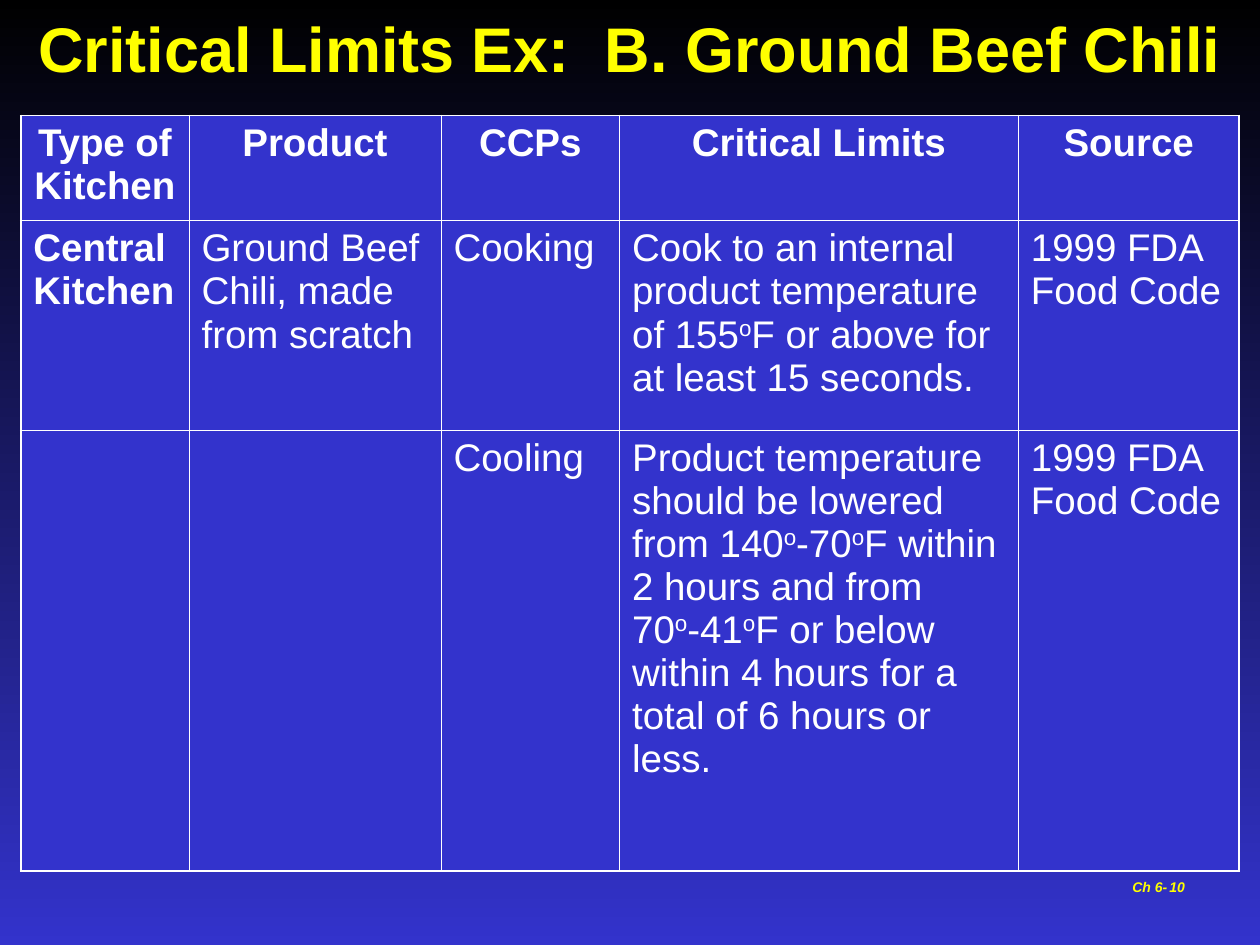
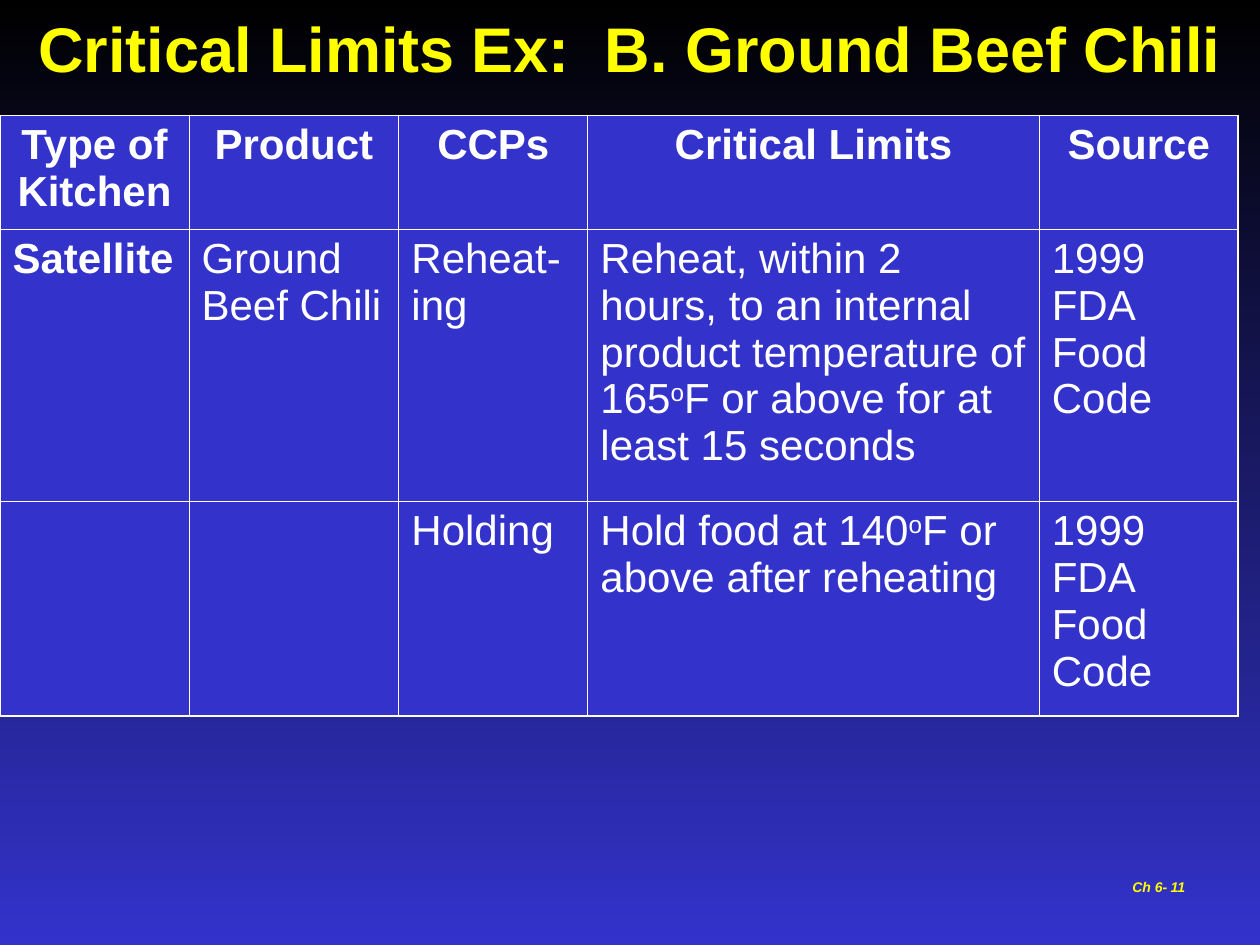
from lxml.etree import SubElement
from pptx import Presentation
from pptx.dml.color import RGBColor as Rgb
from pptx.enum.text import MSO_ANCHOR as Anchor, MSO_AUTO_SIZE as Fit, PP_ALIGN as Align
from pptx.oxml.ns import qn
from pptx.util import Cm, Pt

BLACK, BLUE, WHITE, YELLOW = "000000", "3333CC", "FFFFFF", "FFFF00"
THICK, THIN = 1.08, 0.45
TITLE = "Critical Limits Ex:  B. Ground Beef Chili"
HEADS = ["Type of Kitchen", "Product", "CCPs", "Critical Limits", "Source"]
CODE = "1999 FDA Food Code"
RAISED = "^o"  # stands for a superscript o in the table text

TITLE_FONT = {"name": "Arial", "size": Pt(36), "bold": True}
FOOT_FONT = {"name": "Arial", "size": Pt(8), "bold": True, "italic": True}

SLIDES = [
    {
        "page": "10", "left": 0.42, "size": 22,
        "cols": [3.39, 5.08, 3.6, 8.04, 4.45],
        "rows": [2.12, 4.22, 8.89],
        "body": [
            ["Central Kitchen", "Ground Beef Chili, made from scratch", "Cooking",
             "Cook to an internal product temperature of 155^oF or above "
             "for at least 15 seconds.", CODE],
            ["", "", "Cooling",
             "Product temperature should be lowered from 140^o-70^oF within 2 hours "
             "and from 70^o-41^oF or below within 4 hours for a total of 6 hours "
             "or less.", CODE],
        ],
    },
    {
        "page": "11", "left": 0, "size": 24,
        "cols": [3.81, 4.23, 3.81, 9.1, 4.01],
        "rows": [2.29, 5.49, 4.32],
        "body": [
            ["Satellite", "Ground Beef Chili", "Reheat-ing",
             "Reheat, within 2 hours, to an internal product temperature of 165^oF "
             "or above for at least 15 seconds", CODE],
            ["", "", "Holding", "Hold food at 140^oF or above after reheating", CODE],
        ],
    },
]


def tint(code):
    return Rgb.from_string(code)


def style(font, looks, color):
    for key, value in looks.items():
        setattr(font, key, value)
    font.color.rgb = tint(color)


def place(shape, left, top, width, height):
    spots = {"left": left, "top": top, "width": width, "height": height}
    for key, value in spots.items():
        setattr(shape, key, Cm(value))


def paint_back(master):
    fill = master.background.fill
    fill.gradient()
    fill.gradient_angle = 270
    for stop, color in zip(fill.gradient_stops, (BLACK, BLUE)):
        stop.color.rgb = tint(color)


def add_title(slide):
    title = slide.shapes.title
    place(title, 0, 0, 25.4, 1.9)
    frame = title.text_frame
    frame.text = TITLE
    frame.auto_size = Fit.NONE
    frame.vertical_anchor = Anchor.MIDDLE
    line = frame.paragraphs[0]
    line.alignment = Align.CENTER
    style(line.runs[0].font, TITLE_FONT, YELLOW)


def add_note(slide, text, spot, align):
    box = slide.shapes.add_textbox(*map(Cm, spot))
    frame = box.text_frame
    frame.word_wrap = True
    frame.text = text
    line = frame.paragraphs[0]
    line.alignment = align
    style(line.runs[0].font, FOOT_FONT, YELLOW)


def add_foot(slide, page):
    add_note(slide, "Ch 6-", (22.23, 17.58, 1.9, 0.64), Align.CENTER)
    add_note(slide, page, (18.42, 17.58, 5.72, 1.27), Align.RIGHT)


def write(cell, text, looks, align):
    """Fill a cell with text, raising each marked o."""
    line = cell.text_frame.paragraphs[0]
    line.alignment = align
    for i, part in enumerate(text.split(RAISED)):
        if i:
            run = line.add_run()
            run.text = "o"
            style(run.font, looks, WHITE)
            run._r.get_or_add_rPr().set("baseline", "30000")
        if part:
            run = line.add_run()
            run.text = part
            style(run.font, looks, WHITE)


def edge(cell, sides):
    """Draw cell borders; sides maps L, R, T and B to 'is outer'."""
    props = cell._tc.get_or_add_tcPr()
    for side, outer in sides.items():
        width = Pt(THICK if outer else THIN)
        line = SubElement(props, qn(f"a:ln{side}"), w=str(width))
        fill = SubElement(line, qn("a:solidFill"))
        SubElement(fill, qn("a:srgbClr"), val=WHITE)


def add_grid(slide, left, size, cols, rows, body):
    spot = map(Cm, (left, 2.33, sum(cols), sum(rows)))
    grid = slide.shapes.add_table(len(rows), len(cols), *spot).table
    for col, width in zip(grid.columns, cols):
        col.width = Cm(width)
    for row, height in zip(grid.rows, rows):
        row.height = Cm(height)
    for r, texts in enumerate([HEADS, *body]):
        for c, text in enumerate(texts):
            cell = grid.cell(r, c)
            looks = {"name": "Arial", "size": Pt(size), "bold": r == 0 or c == 0}
            write(cell, text, looks, Align.LEFT if r else Align.CENTER)
            edge(cell, {"L": c == 0, "R": c == len(cols) - 1,
                        "T": r == 0, "B": r == len(rows) - 1})
            cell.fill.solid()
            cell.fill.fore_color.rgb = tint(BLUE)


def main():
    deck = Presentation()
    deck.slide_width, deck.slide_height = Cm(25.4), Cm(19.05)
    paint_back(deck.slide_master)
    layout = deck.slide_layouts.get_by_name("Title Only")
    for data in SLIDES:
        slide = deck.slides.add_slide(layout)
        add_title(slide)
        add_grid(slide, *(data[key] for key in ("left", "size", "cols", "rows", "body")))
        add_foot(slide, data["page"])
    deck.save("out.pptx")


if __name__ == "__main__":
    main()
